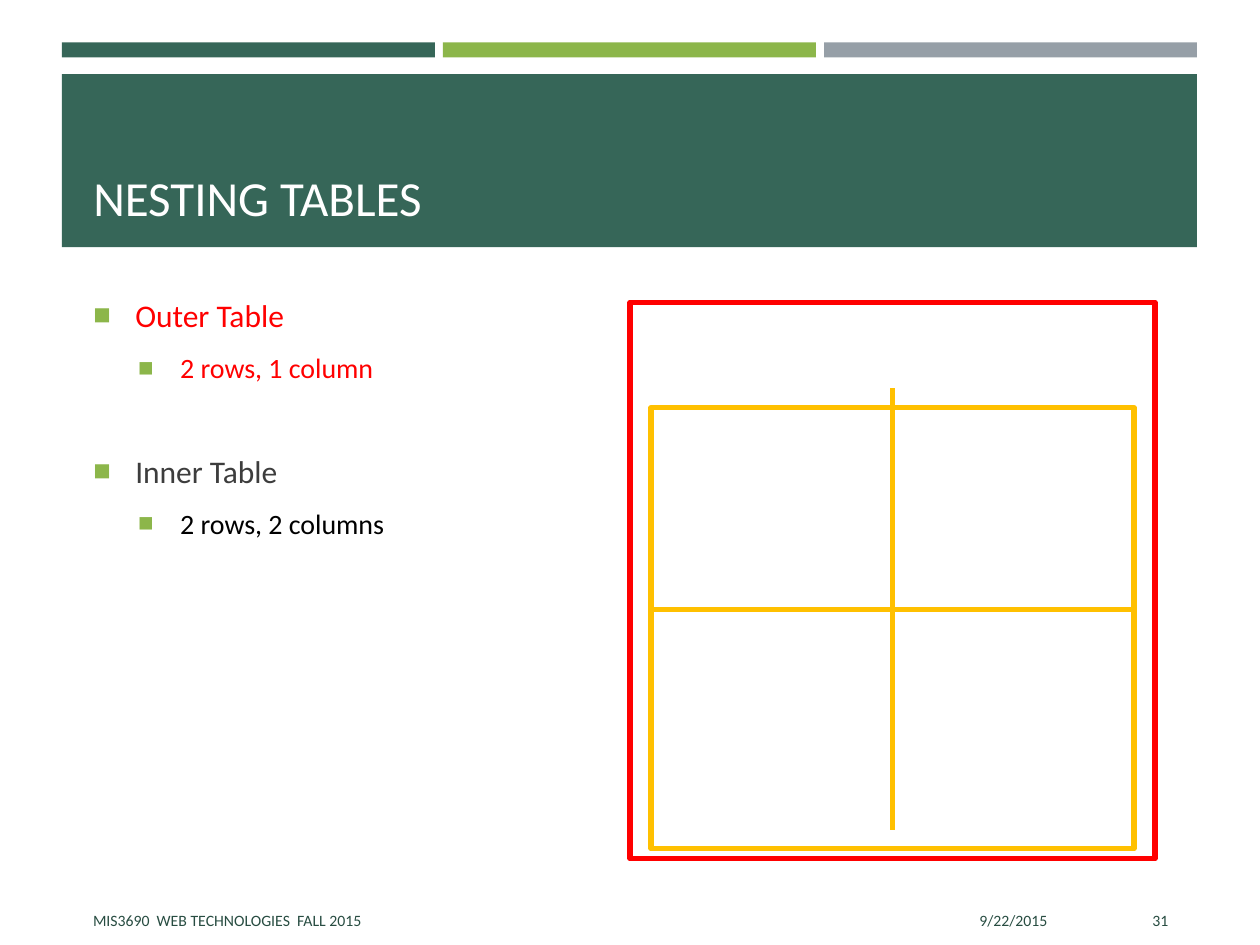
"""Build the slide about nesting tables."""
from lxml import etree
from pptx import Presentation
from pptx.dml.color import RGBColor
from pptx.enum.shapes import MSO_CONNECTOR, MSO_SHAPE
from pptx.enum.text import MSO_ANCHOR, MSO_AUTO_SIZE, PP_ALIGN
from pptx.oxml.ns import qn
from pptx.util import Pt

RECTANGLE = MSO_SHAPE.RECTANGLE
STRAIGHT = MSO_CONNECTOR.STRAIGHT
LEFT, RIGHT = PP_ALIGN.LEFT, PP_ALIGN.RIGHT
TOP, MIDDLE, BOTTOM = MSO_ANCHOR.TOP, MSO_ANCHOR.MIDDLE, MSO_ANCHOR.BOTTOM
NO_FIT = MSO_AUTO_SIZE.NONE

FONT = "Calibri"
WHITE = RGBColor(0xFF, 0xFF, 0xFF)
BLACK = RGBColor(0, 0, 0)
GRAY = RGBColor(0x3D, 0x3D, 0x3D)
DARK_GREEN = RGBColor(0x36, 0x66, 0x58)
FOOTER_GREEN = RGBColor(0x28, 0x4D, 0x42)
LIME = RGBColor(0x8C, 0xB6, 0x4A)
SILVER = RGBColor(0x96, 0x9F, 0xA7)
RED = RGBColor(0xFF, 0, 0)
AMBER = RGBColor(0xFF, 0xC0, 0)

BAND_LEFT, BAND_WIDTH, BAR_GAP = 35.4, 648.6, 4.6
TEXT_LEFT, TEXT_WIDTH = 46.1, 629.3
FOOTER_TOP, FOOTER_HEIGHT = 511.2, 28.8

BULLETS = [
    ("Outer Table", 0, RED, 4),
    ("2 rows, 1 column", 1, RED, 3.6),
    ("Inner Table", 0, GRAY, 32.5),
    ("2 rows, 2 columns", 1, BLACK, 3.6),
]
FOOTERS = [
    ("MIS3690  WEB TECHNOLOGIES  FALL 2015", TEXT_LEFT, 383.8, LEFT),
    ("9/22/2015", 437.8, 167.8, RIGHT),
    ("31", 614.2, 60.5, RIGHT),
]


def place(shape, left, top, width, height):
    """Move and size a shape."""
    shape.left, shape.top = Pt(left), Pt(top)
    shape.width, shape.height = Pt(width), Pt(height)


def set_frame(frame, anchor):
    """Wrap the text at a fixed size and anchor it."""
    frame.word_wrap = True
    frame.auto_size = NO_FIT
    frame.vertical_anchor = anchor


def format_para(para, size, color, align=LEFT):
    """Align a paragraph and format its runs."""
    para.alignment = align
    for span in para.runs:
        span.font.name = FONT
        span.font.size = Pt(size)
        span.font.color.rgb = color


def add_block(page, left, top, width, height, color):
    """Add a filled rectangle without an outline."""
    block = page.shapes.add_shape(RECTANGLE, Pt(left), Pt(top), Pt(width), Pt(height))
    block.shadow.inherit = False
    block.fill.solid()
    block.fill.fore_color.rgb = color
    block.line.fill.background()


def set_line(shape, color):
    """Give a shape or connector its table border."""
    shape.line.color.rgb = color
    shape.line.width = Pt(3)


def add_outline(group, left, top, width, height, color):
    """Add an unfilled rectangle to a group."""
    outline = group.shapes.add_shape(RECTANGLE, Pt(left), Pt(top), Pt(width), Pt(height))
    outline.shadow.inherit = False
    outline.fill.background()
    set_line(outline, color)


def add_divider(group, start_x, start_y, end_x, end_y, color):
    """Add a straight table divider to a group."""
    divider = group.shapes.add_connector(
        STRAIGHT, Pt(start_x), Pt(start_y), Pt(end_x), Pt(end_y))
    set_line(divider, color)
    etree.SubElement(divider._element.spPr, qn("a:effectLst"))


def add_bullet(para, level):
    """Give a paragraph a square bullet and a hanging indent."""
    properties = para._p.get_or_add_pPr()
    properties.set("marL", str(Pt(24 + 25.7 * level)))
    properties.set("indent", str(-Pt(24)))
    color = etree.SubElement(properties, qn("a:buClr"))
    etree.SubElement(color, qn("a:srgbClr"), val=str(LIME))
    etree.SubElement(properties, qn("a:buSzPct"), val="92000")
    etree.SubElement(properties, qn("a:buFont"), typeface="Arial")
    etree.SubElement(properties, qn("a:buChar"), char="■")


def add_banner(page):
    """Add the three bars and the title band."""
    colors = (DARK_GREEN, LIME, SILVER)
    width = (BAND_WIDTH - 2 * BAR_GAP) / 3
    for index, color in enumerate(colors):
        add_block(page, BAND_LEFT + index * (width + BAR_GAP), 24.2, width, 8.6, color)
    add_block(page, BAND_LEFT, 42.3, BAND_WIDTH, 99, DARK_GREEN)


def fill_title(page):
    """Place the title on top of its band."""
    title = page.shapes.title
    page.shapes._spTree.append(title._element)
    place(title, TEXT_LEFT, 48.2, TEXT_WIDTH, 85)
    title.text_frame.text = "NESTING TABLES"
    set_frame(title.text_frame, BOTTOM)
    format_para(title.text_frame.paragraphs[0], 28, WHITE)


def fill_body(page):
    """Write the bulleted list."""
    body = page.placeholders[1]
    place(body, TEXT_LEFT, 165.6, TEXT_WIDTH, 332.6)
    frame = body.text_frame
    frame.text = "\n".join(bullet[0] for bullet in BULLETS)
    set_frame(frame, TOP)
    for para, (_, level, color, space) in zip(frame.paragraphs, BULLETS):
        para.level = level
        para.space_before, para.space_after = Pt(space), Pt(6)
        format_para(para, 18 - 2 * level, color)
        add_bullet(para, level)


def add_footer(page, text, left, width, align):
    """Add one footer text."""
    box = page.shapes.add_textbox(Pt(left), Pt(FOOTER_TOP), Pt(width), Pt(FOOTER_HEIGHT))
    box.text_frame.text = text
    set_frame(box.text_frame, MIDDLE)
    format_para(box.text_frame.paragraphs[0], 9, FOOTER_GREEN, align)


def add_nested_tables(page):
    """Draw the outer table around the inner one."""
    group = page.shapes.add_group_shape()
    add_outline(group, 360, 172.8, 300, 318, RED)
    add_outline(group, 372, 233, 276, 252, AMBER)
    add_divider(group, 372, 348.2, 648, 348.2, AMBER)
    add_divider(group, 510, 222, 510, 474.2, AMBER)


def main():
    """Build and save the deck."""
    deck = Presentation()
    deck.slide_width, deck.slide_height = Pt(720), Pt(540)
    page = deck.slides.add_slide(deck.slide_layouts[1])
    add_banner(page)
    fill_title(page)
    fill_body(page)
    for footer in FOOTERS:
        add_footer(page, *footer)
    add_nested_tables(page)
    deck.save("out.pptx")


if __name__ == "__main__":
    main()
